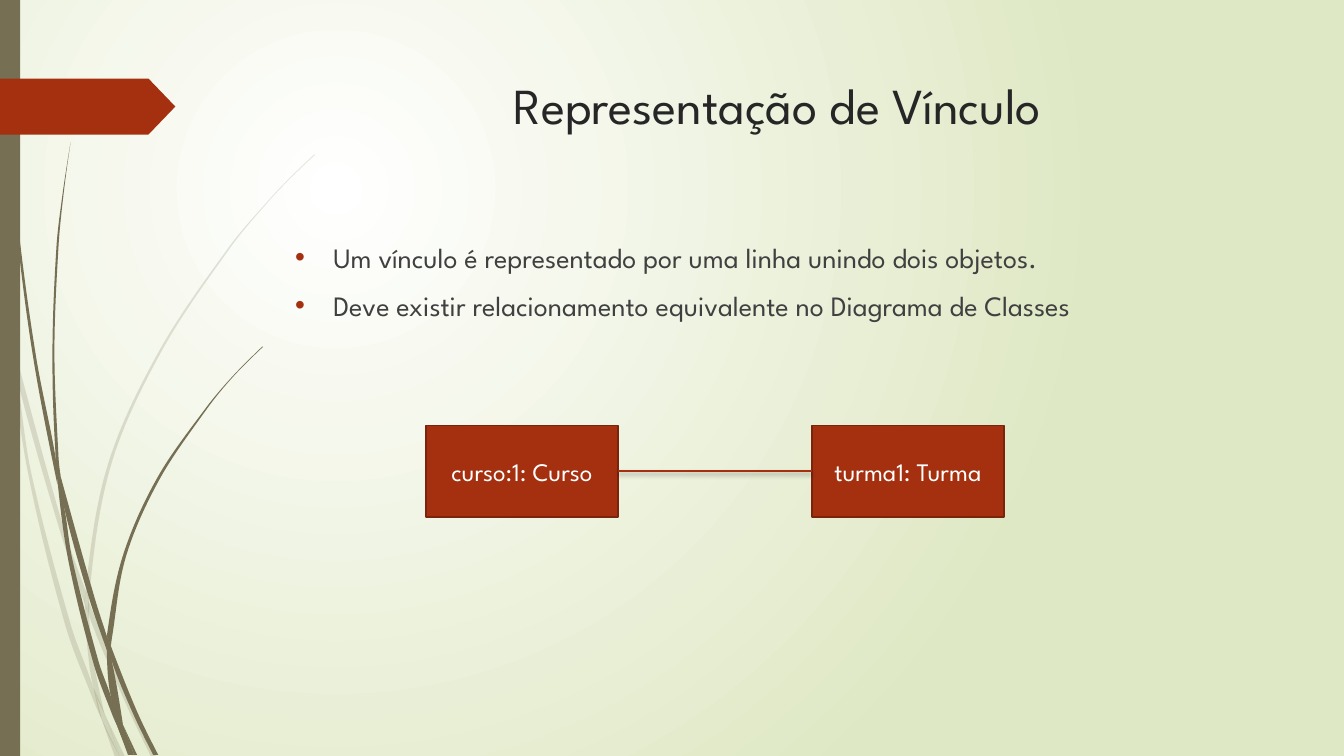
from dataclasses import dataclass

from lxml.etree import SubElement
from pptx import Presentation
from pptx.dml.color import RGBColor
from pptx.enum.shapes import MSO_CONNECTOR, MSO_SHAPE
from pptx.enum.text import MSO_ANCHOR, MSO_AUTO_SIZE, PP_ALIGN
from pptx.oxml.ns import qn
from pptx.util import Emu, Inches, Pt

WIDTH, HEIGHT = Inches(13.33), Inches(7.5)
RIGHT_SIDE, LEFT_SIDE = 3, 1


@dataclass(frozen=True)
class Theme:
    font: str = "League Spartan"
    accent: str = "A53010"
    accent_dark: str = "7A240C"
    olive: str = "766F54"
    light: str = "FFFFFF"
    backdrop: str = "DFE8C4"
    title_color: str = "262626"
    body_color: str = "404040"
    title_size: int = 36
    body_size: int = 20
    box_size: int = 18


THEME = Theme()

# Each piece of a grass blade: the (x, y) knots of its two edges, downwards, in inches.
PALE_PIECES = [
    ([(0, 2.82), (0.09, 3.22), (0.11, 3.5)], [(0, 2.99), (0.1, 3.44), (0.11, 3.5)]),
    ([(0.14, 3.45), (0.62, 5.2), (0.85, 5.86)], [(0.14, 3.45), (0.17, 3.76), (0.58, 5.22), (0.84, 5.99)]),
    ([(0.88, 5.96), (0.92, 6.07), (1.27, 6.92), (1.55, 7.51)],
     [(0.88, 5.96), (0.88, 6.1), (1.23, 6.94), (1.5, 7.51)]),
    ([(1.05, 7.11), (1.24, 7.51)], [(1.05, 7.11), (1.19, 7.51)]),
    ([(0.11, 3.5), (0.17, 3.76), (0.31, 4.69), (0.7, 6.19), (0.93, 6.83), (1.01, 7.14)],
     [(0.11, 3.5), (0.28, 4.7), (0.65, 6.21), (0.92, 6.93), (1.01, 7.14)]),
    ([(0.84, 5.99), (0.87, 6.46), (0.93, 6.83), (1.05, 7.11)],
     [(0.84, 5.99), (0.88, 6.1), (0.91, 6.46), (1.03, 7.06), (1.05, 7.11)]),
    ([(3.12, 1.53), (2.89, 1.75), (2.68, 1.97), (2.28, 2.44), (1.58, 3.48), (1.07, 4.61), (0.85, 5.86)],
     [(3.12, 1.54), (2.9, 1.75), (2.68, 1.98), (2.29, 2.45), (1.6, 3.49), (1.1, 4.62), (0.88, 5.96)]),
    ([(1.01, 7.14), (1.14, 7.51)], [(1.01, 7.14), (1.19, 7.51)]),
    ([(0.85, 5.86), (0.88, 5.96), (0.88, 6.1)], [(0.85, 5.86), (0.84, 5.99), (0.88, 6.08)]),
    ([(0.93, 6.83), (1.01, 7.14), (1.19, 7.51)], [(0.93, 6.83), (1.05, 7.11), (1.19, 7.51)]),
]
DARK_PIECES = [
    ([(0.03, 0), (0.04, 0.48), (0.07, 1.1), (0.17, 2.33), (0.33, 3.55), (0.57, 4.81)],
     [(0.04, 0), (0.05, 0.48), (0.08, 1.09), (0.19, 2.32), (0.36, 3.55), (0.55, 4.53), (0.57, 4.81)]),
    ([(0.6, 4.72), (0.64, 5.05), (0.88, 5.92), (1.06, 6.45)], [(0.6, 4.72), (0.93, 5.9), (1.06, 6.31)]),
    ([(1.1, 6.41), (1.11, 6.56), (1.32, 7.08), (1.52, 7.49)], [(1.1, 6.41), (1.36, 7.06), (1.57, 7.49)]),
    ([(0.57, 4.77), (0.68, 5.57), (0.93, 6.59), (1.11, 7.08), (1.17, 7.22)],
     [(0.57, 4.77), (0.64, 5.05), (0.72, 5.56), (0.98, 6.57), (1.1, 6.91), (1.17, 7.22)]),
    ([(0.7, 1.41), (0.62, 1.93), (0.56, 2.45), (0.52, 3.49), (0.55, 4.49), (0.6, 4.72)],
     [(0.7, 1.41), (0.63, 1.93), (0.58, 2.45), (0.54, 3.49), (0.58, 4.53), (0.6, 4.72)]),
    ([(1.22, 7.19), (1.33, 7.49)], [(1.22, 7.19), (1.36, 7.49)]),
    ([(0.55, 4.49), (0.57, 4.77), (0.64, 5.05)], [(0.55, 4.49), (0.6, 4.72), (0.64, 5.05)]),
    ([(2.6, 3.44), (2.31, 3.73), (2.04, 4.05), (1.56, 4.74), (1.22, 5.51), (1.06, 6.31)],
     [(2.61, 3.44), (2.31, 3.74), (2.05, 4.06), (1.58, 4.76), (1.25, 5.52), (1.11, 6.33), (1.1, 6.41)]),
    ([(1.17, 7.22), (1.27, 7.49)], [(1.17, 7.22), (1.31, 7.49)]),
    ([(1.06, 6.45), (1.1, 6.91), (1.22, 7.19)], [(1.06, 6.45), (1.11, 6.56), (1.22, 7.19)]),
    ([(1.06, 6.31), (1.06, 6.45), (1.11, 6.56)], [(1.06, 6.31), (1.1, 6.41), (1.11, 6.56)]),
    ([(1.1, 6.91), (1.17, 7.22), (1.3, 7.49)], [(1.1, 6.91), (1.22, 7.19), (1.33, 7.49)]),
]


def rgb(color):
    return RGBColor.from_string(color)


def area(left, top, width, height):
    """Turn percentages of the slide into lengths."""
    return [Emu(round(share * side / 100)) for share, side in
            zip((left, top, width, height), (WIDTH, HEIGHT, WIDTH, HEIGHT))]


def paint(shape, fill, line=None, opacity=100):
    shape.shadow.inherit = False
    shape.fill.solid()
    shape.fill.fore_color.rgb = rgb(fill)
    if opacity < 100:
        color = shape.fill._xPr.find(qn("a:solidFill"))[0]
        SubElement(color, qn("a:alpha"), val=str(opacity * 1000))
    if line:
        shape.line.color.rgb = rgb(line)
        shape.line.width = Pt(1.25)
    else:
        shape.line.fill.background()


def write(para, text, size, color, align=None, before=0):
    para.alignment = align
    para.space_before = Pt(before)
    span = para.add_run()
    span.text = text
    span.font.name, span.font.size = THEME.font, Pt(size)
    span.font.color.rgb = rgb(color)


def add_bullet(para):
    settings = para._p.get_or_add_pPr()
    settings.set("marL", str(Inches(0.38)))
    settings.set("indent", str(-Inches(0.38)))
    SubElement(SubElement(settings, qn("a:buClr")), qn("a:srgbClr"), val=THEME.accent)
    SubElement(settings, qn("a:buFont"), typeface="Arial")
    SubElement(settings, qn("a:buChar"), char="•")


def set_background(page):
    fill = page.background.fill
    fill.gradient()
    for stop, color, position in zip(fill.gradient_stops, (THEME.light, THEME.backdrop), (0, 1)):
        stop.color.rgb = rgb(color)
        stop.position = position
    gradient = page._element.cSld.find(".//" + qn("a:gradFill"))
    gradient.remove(gradient.find(qn("a:lin")))
    circle = SubElement(gradient, qn("a:path"), path="circle")
    SubElement(circle, qn("a:fillToRect"), l="50000", t="50000", r="100000", b="100000")


def smooth_edge(knots):
    """Put two Bézier handles between neighbouring knots, taking x as a function of y."""
    def secant(start, end):
        return (end[0] - start[0]) / (end[1] - start[1])

    inner = [secant(a, b) for a, b in zip(knots, knots[2:])]
    first, last = secant(*knots[:2]), secant(*knots[-2:])
    if inner:
        first, last = 1.5 * first - inner[0] / 2, 1.5 * last - inner[-1] / 2
    slopes = [first, *inner, last]
    points = [knots[0]]
    for (x0, y0), (x1, y1), s0, s1 in zip(knots, knots[1:], slopes, slopes[1:]):
        third = (y1 - y0) / 3
        points += [(x0 + s0 * third, y0 + third), (x1 - s1 * third, y1 - third), (x1, y1)]
    return points


def bend(segments):
    """Turn every three line segments into one cubic curve."""
    for first, second, third in zip(*[iter(segments)] * 3):
        first.tag = qn("a:cubicBezTo")
        for segment in (second, third):
            first.append(segment[0])
            segment.getparent().remove(segment)


def add_blade_piece(page, edges, opacity=100):
    left, right = map(smooth_edge, edges)
    outline = [(Inches(x), Inches(y)) for x, y in left + right[::-1]]
    builder = page.shapes.build_freeform(*outline[0])
    builder.add_line_segments(outline[1:], close=False)
    piece = builder.convert_to_shape()
    segments = list(piece._element.iter(qn("a:lnTo")))
    SubElement(segments[0].getparent(), qn("a:close"))
    bend(segments[:len(left) - 1])
    bend(segments[len(left):])
    paint(piece, THEME.olive, opacity=opacity)


def add_decoration(page):
    for pieces, opacity in ((PALE_PIECES, 20), (DARK_PIECES, 100)):
        for edges in pieces:
            add_blade_piece(page, edges, opacity)
    paint(page.shapes.add_shape(MSO_SHAPE.RECTANGLE, *area(0, 0, 1.5, 100)), THEME.olive)
    flag = page.shapes.add_shape(MSO_SHAPE.PENTAGON, *area(0, 10.4, 13.05, 7.4))
    flag.adjustments[0] = 0.48
    paint(flag, THEME.accent)


def fill_placeholder(holder, shares, lines, bullets=False, **style):
    """Move a placeholder in front of the decoration and write its lines."""
    holder.left, holder.top, holder.width, holder.height = area(*shares)
    holder._element.getparent().append(holder._element)
    frame = holder.text_frame
    frame.word_wrap, frame.auto_size = True, MSO_AUTO_SIZE.NONE
    frame.vertical_anchor = MSO_ANCHOR.TOP
    for i, line in enumerate(lines):
        para = frame.add_paragraph() if i else frame.paragraphs[0]
        write(para, line, **style)
        if bullets:
            add_bullet(para)


def add_object_box(page, text, left):
    box = page.shapes.add_shape(MSO_SHAPE.RECTANGLE, *area(left, 56.27, 14.27, 12.1))
    paint(box, THEME.accent, line=THEME.accent_dark)
    box.text_frame.vertical_anchor = MSO_ANCHOR.MIDDLE
    write(box.text_frame.paragraphs[0], text, THEME.box_size, THEME.light, PP_ALIGN.CENTER)
    return box


def add_link(page, start, end):
    link = page.shapes.add_connector(MSO_CONNECTOR.STRAIGHT, 0, 0, 0, 0)
    link.begin_connect(start, RIGHT_SIDE)
    link.end_connect(end, LEFT_SIDE)
    link.line.color.rgb = rgb(THEME.accent)
    link.line.width = Pt(1.75)
    effects = SubElement(link._element.spPr, qn("a:effectLst"))
    shadow = SubElement(effects, qn("a:outerShdw"), blurRad=str(Pt(3)), dist=str(Pt(2)), dir="5400000")
    SubElement(SubElement(shadow, qn("a:srgbClr"), val="000000"), qn("a:alpha"), val="25000")


def main():
    deck = Presentation()
    deck.slide_width, deck.slide_height = WIDTH, HEIGHT
    page = deck.slides.add_slide(deck.slide_layouts[1])
    set_background(page)
    add_decoration(page)
    fill_placeholder(page.shapes.title, (21.27, 9.07, 73.13, 18.67), ["Representação de Vínculo"],
                     size=THEME.title_size, color=THEME.title_color, align=PP_ALIGN.CENTER)
    fill_placeholder(page.placeholders[1], (21.2, 31.13, 73.13, 55.07),
                     ["Um vínculo é representado por uma linha unindo dois objetos.",
                      "Deve existir relacionamento equivalente no Diagrama de Classes"],
                     bullets=True, size=THEME.body_size, color=THEME.body_color, before=10)
    course = add_object_box(page, "curso:1: Curso", 31.7)
    group = add_object_box(page, "turma1: Turma", 60.42)
    add_link(page, course, group)
    deck.save("out.pptx")


if __name__ == "__main__":
    main()
